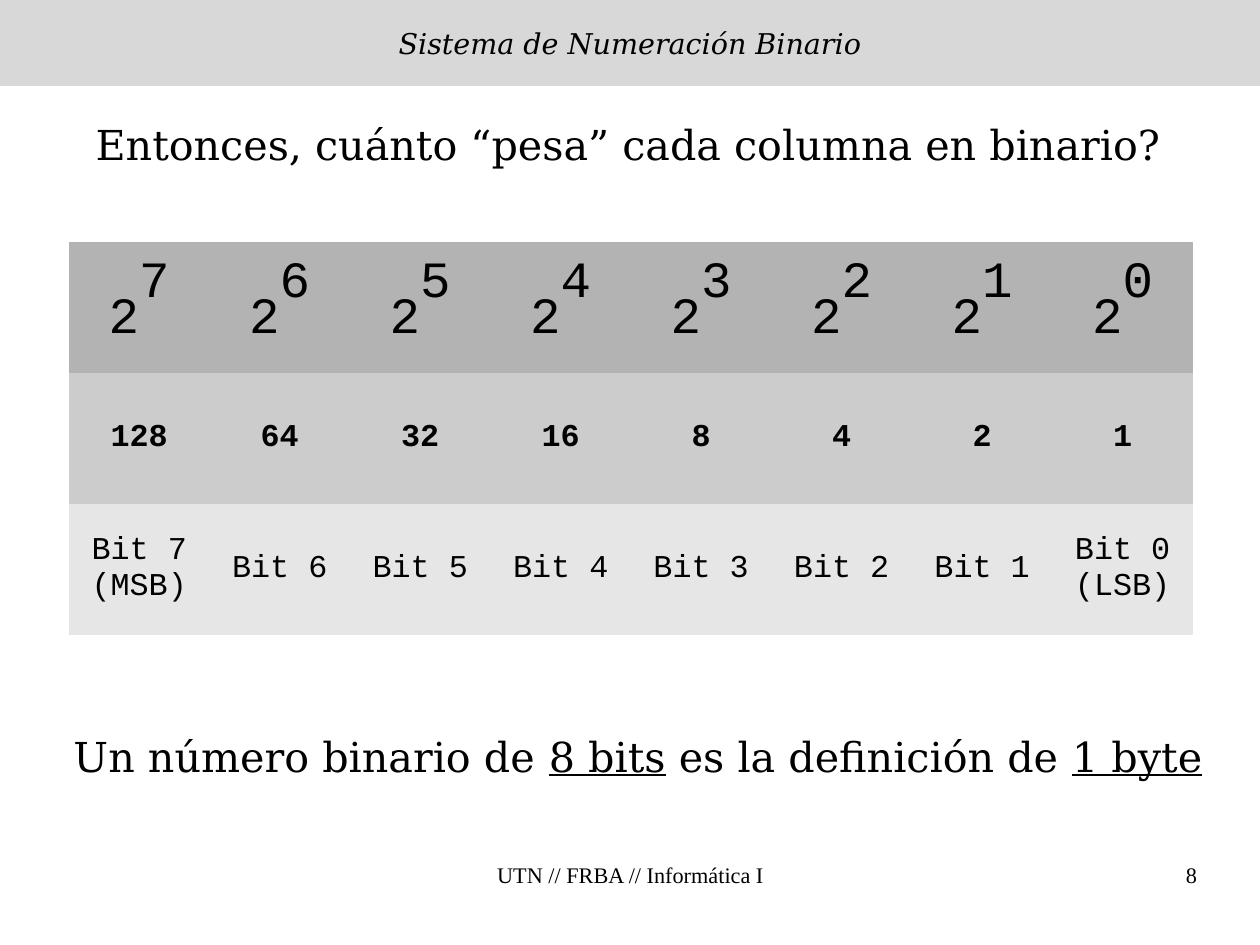
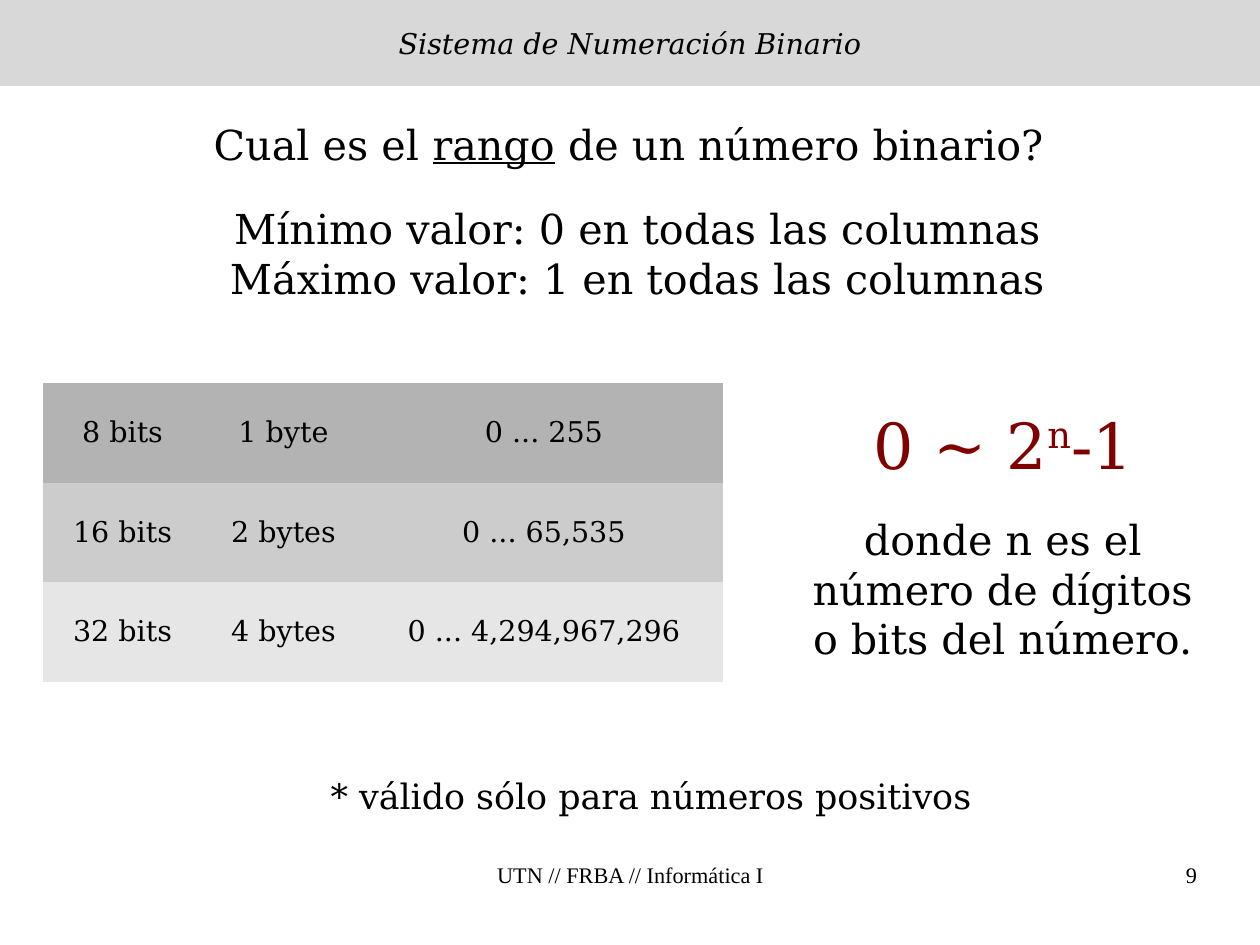
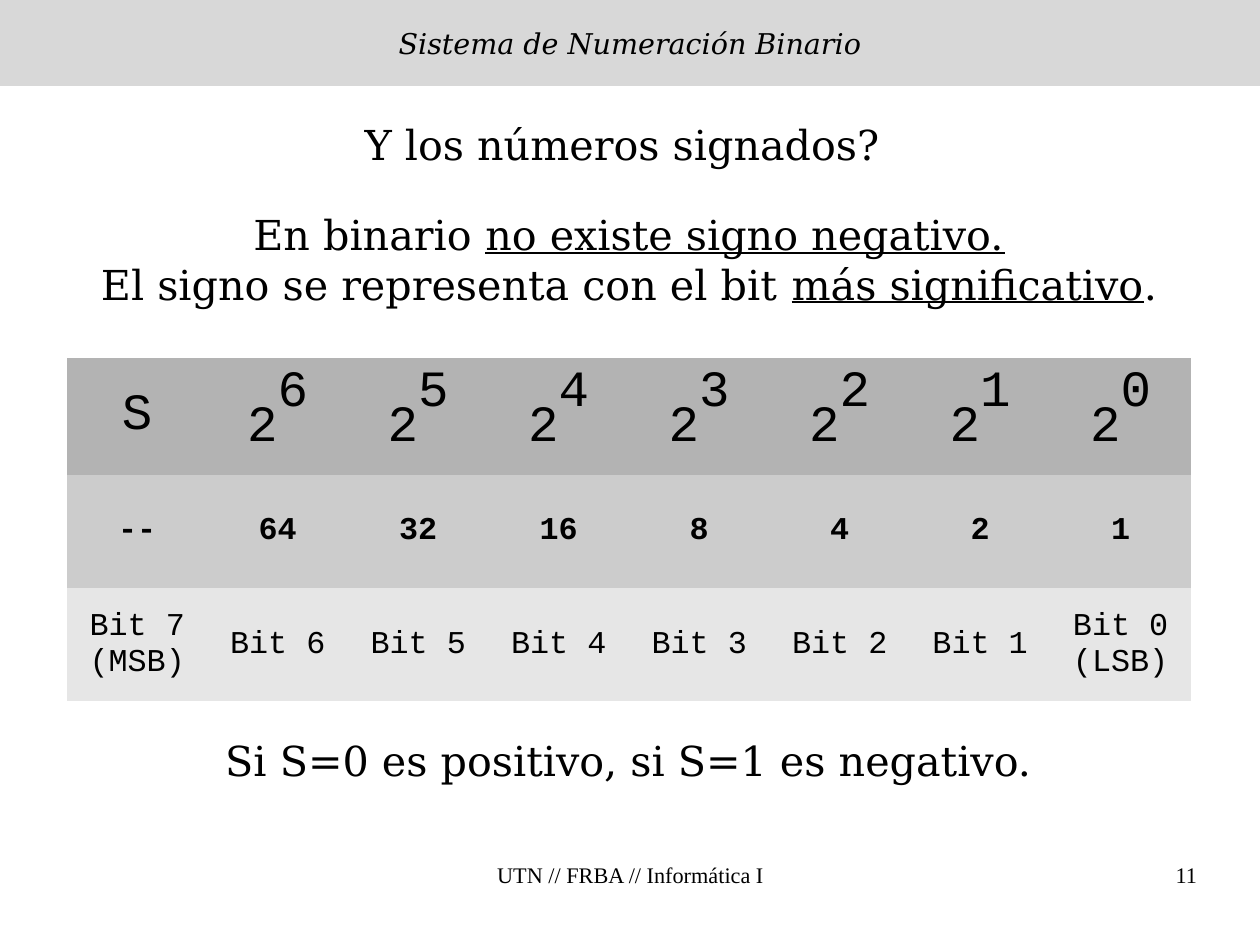
"""Build three slides on the range and sign of binary numbers."""
from lxml import etree
from pptx import Presentation
from pptx.dml.color import RGBColor
from pptx.enum.shapes import MSO_SHAPE
from pptx.enum.text import MSO_ANCHOR, MSO_AUTO_SIZE, PP_ALIGN
from pptx.oxml.ns import qn
from pptx.util import Pt

RECT = MSO_SHAPE.RECTANGLE
TOP, MIDDLE = MSO_ANCHOR.TOP, MSO_ANCHOR.MIDDLE
FIXED = MSO_AUTO_SIZE.NONE
CENTER, RIGHT = PP_ALIGN.CENTER, PP_ALIGN.RIGHT

BLACK = RGBColor(0x00, 0x00, 0x00)
MAROON = RGBColor(0x80, 0x00, 0x00)
DARK = RGBColor(0xB3, 0xB3, 0xB3)
MID = RGBColor(0xCC, 0xCC, 0xCC)
LIGHT = RGBColor(0xE6, 0xE6, 0xE6)
SHADES = [DARK, MID, LIGHT]

SERIF, MONO, ROMAN = "DejaVu Serif", "Courier New", "Times New Roman"
PLAIN = "{2D5ABB26-0587-4C30-8999-92F81FD0307C}"
SCALE = 8000
WIDE, HIGH = 1260, 945

HEAD = "Sistema de Numeración Binario"
FOOT = "UTN // FRBA // Informática I"
LINE = {"under": True}


def power(n):
    """Give the rich text of a power of two."""
    return [["2", (str(n), {"size": 55.2, "up": 40})]]


BITS = ["Bit 7\n(MSB)", *[f"Bit {n}" for n in range(6, 0, -1)], "Bit 0\n(LSB)"]
POWERS = [power(n) for n in range(7, -1, -1)]
WEIGHTS = [str(2 ** n) for n in range(7, -1, -1)]
BYTE = {
    "shares": [1] * 8,
    "styles": [
        {"font": MONO, "size": 32},
        {"font": MONO, "size": 20, "bold": True},
        {"font": MONO, "size": 20},
    ],
}

SLIDES = [
    {
        "page": "8",
        "title": "Entonces, cuánto “pesa” cada columna en binario?",
        "table": {"box": (69, 242, 1124, 393),
                  "rows": [POWERS, WEIGHTS, BITS], **BYTE},
        "notes": [
            ((38, 726, 1200, 59),
             [["Un número binario de ", ("8 bits", LINE),
               " es la definición de ", ("1 byte", LINE)]], {}),
        ],
    },
    {
        "page": "9",
        "title": [["Cual es el ", ("rango", LINE), " de un número binario?"]],
        "table": {
            "box": (43, 383, 680, 299), "shares": [159, 163, 358],
            "rows": [
                ["8 bits", "1 byte", "0 ... 255"],
                ["16 bits", "2 bytes", "0 ... 65,535"],
                ["32 bits", "4 bytes", "0 ... 4,294,967,296"],
            ],
            "styles": [{"size": 18}] * 3,
        },
        "notes": [
            ((38, 198, 1200, 107),
             "Mínimo valor: 0 en todas las columnas\n"
             "Máximo valor: 1 en todas las columnas", {}),
            ((794, 400, 418, 87), [["0 ~ 2", ("n", {"up": 33}), "-1"]],
             {"size": 40, "color": MAROON}),
            ((794, 509, 418, 155),
             "donde n es el número de dígitos o bits del número.", {}),
            ((285, 769, 732, 51), "* válido sólo para números positivos",
             {"size": 22}),
        ],
    },
    {
        "page": "11",
        "title": "Y los números signados? ",
        "table": {"box": (67, 358, 1124, 340),
                  "rows": [["S", *POWERS[1:]], ["--", *WEIGHTS[1:]], BITS],
                  **BYTE},
        "notes": [
            ((29, 204, 1200, 107),
             [["En binario ", ("no existe signo negativo.", LINE)],
              ["El signo se representa con el bit ",
               ("más significativo", LINE), "."]], {}),
            ((29, 730, 1200, 59),
             "Si S=0 es positivo, si S=1 es negativo.", {}),
        ],
    },
]


def px(*sizes):
    """Turn px into EMU."""
    return [round(size * SCALE) for size in sizes]


def write(frame, text, align=CENTER, **style):
    """Fill a text frame with paragraphs of formatted runs."""
    paras = text.split("\n") if isinstance(text, str) else text
    for i, para in enumerate(paras):
        line = frame.add_paragraph() if i else frame.paragraphs[0]
        line.alignment = align
        for part in [para] if isinstance(para, str) else para:
            words, extra = (part, {}) if isinstance(part, str) else part
            look = {"font": SERIF, "size": 26, "color": BLACK, **style, **extra}
            run = line.add_run()
            run.text = words
            font = run.font
            font.name, font.size = look["font"], Pt(look["size"])
            font.color.rgb = look["color"]
            font.bold = look.get("bold", False)
            font.italic = look.get("italic", False)
            font.underline = look.get("under", False)
            if "up" in look:
                run._r.get_or_add_rPr().set("baseline", str(look["up"] * 1000))


def add_note(slide, box, text, inset=True, **style):
    """Add a wrapping text box."""
    frame = slide.shapes.add_textbox(*px(*box)).text_frame
    frame.word_wrap = True
    if not inset:
        frame.margin_left = frame.margin_right = 0
        frame.margin_top = frame.margin_bottom = 0
    write(frame, text, **style)


def add_frame(slide, title, page):
    """Add the band, title and footer that every slide has."""
    band = slide.shapes.add_shape(RECT, *px(0, 0, WIDE, 86))
    band.shadow.inherit = False
    band.fill.solid()
    band.fill.fore_color.rgb = DARK
    tint = band._element.spPr.find(".//" + qn("a:srgbClr"))
    etree.SubElement(tint, qn("a:alpha")).set("val", "50000")
    band.line.fill.background()
    band.text_frame.vertical_anchor = MIDDLE
    write(band.text_frame, HEAD, size=18, italic=True)

    head = slide.shapes.title
    head.left, head.top, head.width, head.height = px(29, 114, 1200, 59)
    frame = head.text_frame
    frame.auto_size, frame.vertical_anchor = FIXED, TOP
    frame.word_wrap = True
    write(frame, title)

    small = {"inset": False, "font": ROMAN, "size": 14}
    add_note(slide, (431, 861, 399, 65), FOOT, **small)
    add_note(slide, (903, 861, 294, 65), page, align=RIGHT, **small)


def add_grid(slide, box, shares, rows, styles):
    """Add a table with one shade and one text style a row."""
    left, top, wide, high = px(*box)
    grid = slide.shapes.add_table(
        len(rows), len(shares), left, top, wide, high).table
    grid.first_row = grid.horz_banding = False
    grid._tbl.tblPr.find(qn("a:tableStyleId")).text = PLAIN
    for col, share in zip(grid.columns, shares):
        col.width = wide * share // sum(shares)
    for row, texts, shade, style in zip(grid.rows, rows, SHADES, styles):
        row.height = high // len(rows)
        for cell, text in zip(row.cells, texts):
            cell.fill.solid()
            cell.fill.fore_color.rgb = shade
            cell.vertical_anchor = MIDDLE
            write(cell.text_frame, text, **style)


def main():
    """Build and save the deck."""
    deck = Presentation()
    deck.slide_width, deck.slide_height = px(WIDE, HIGH)
    for data in SLIDES:
        slide = deck.slides.add_slide(deck.slide_layouts[5])
        add_frame(slide, data["title"], data["page"])
        add_grid(slide, **data["table"])
        for box, text, style in data["notes"]:
            add_note(slide, box, text, **style)
    deck.save("out.pptx")


if __name__ == "__main__":
    main()
